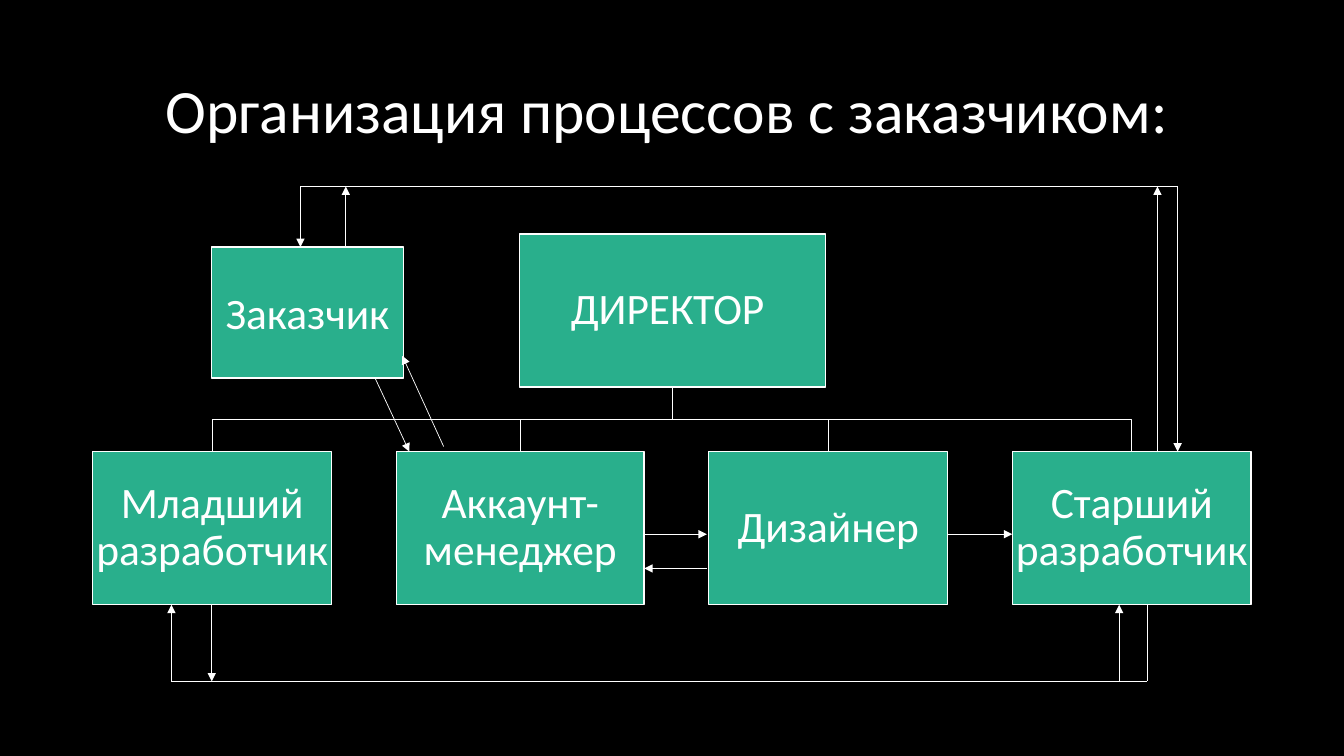
import pptx
import pptx.dml.color
import pptx.enum.shapes
import pptx.enum.text
import pptx.oxml
import pptx.oxml.ns
import pptx.util

Inches = pptx.util.Inches
COLORS = {"background": "000000", "box": "29AF8C", "light": "FFFFFF"}


def color(name):
    """Return the named palette colour."""
    return pptx.dml.color.RGBColor.from_string(COLORS[name])


class ProcessSlide:
    """Holds the style and the current slide."""

    font_name = "Calibri"
    title_size = 44
    box_size = 31

    def __init__(self, deck):
        """Add a title-only slide with a dark background."""
        self.page = deck.slides.add_slide(deck.slide_layouts[5])
        self.page.background.fill.solid()
        self.page.background.fill.fore_color.rgb = color("background")

    def set_text(self, shape, text, size, align, spacing, inset):
        """Put formatted text, centred vertically, in a shape."""
        frame = shape.text_frame
        frame.text = text
        frame.word_wrap = True
        frame.auto_size = pptx.enum.text.MSO_AUTO_SIZE.NONE
        frame.vertical_anchor = pptx.enum.text.MSO_ANCHOR.MIDDLE
        frame.margin_left = frame.margin_right = Inches(inset)
        frame.margin_top = frame.margin_bottom = Inches(min(inset, 0.05))
        for para in frame.paragraphs:
            para.alignment = align
            para.line_spacing = spacing
            for span in para.runs:
                span.font.name = self.font_name
                span.font.size = pptx.util.Pt(size)
                span.font.color.rgb = color("light")

    def outline(self, shape, width):
        """Give a shape or connector a light line."""
        shape.line.color.rgb = color("light")
        shape.line.width = pptx.util.Pt(width)

    def title(self, text, left, top, width, height):
        """Place and fill the title placeholder."""
        title = self.page.shapes.title
        title.left, title.top = Inches(left), Inches(top)
        title.width, title.height = Inches(width), Inches(height)
        self.set_text(title, text, self.title_size, pptx.enum.text.PP_ALIGN.LEFT, 0.9, 0.1)

    def box(self, text, left, top, width, height, spacing=0.9, inset=0.02):
        """Draw a labelled role box."""
        box = self.page.shapes.add_shape(
            pptx.enum.shapes.MSO_SHAPE.RECTANGLE,
            Inches(left), Inches(top), Inches(width), Inches(height))
        box.shadow.inherit = False
        box.fill.solid()
        box.fill.fore_color.rgb = color("box")
        self.outline(box, 1)
        self.set_text(box, text, self.box_size, pptx.enum.text.PP_ALIGN.CENTER, spacing, inset)

    def branch(self, points):
        """Draw an open elbow line through the points."""
        corners = [(Inches(x), Inches(y)) for x, y in points]
        builder = self.page.shapes.build_freeform(*corners[0])
        builder.add_line_segments(corners[1:], close=False)
        branch = builder.convert_to_shape()
        branch.shadow.inherit = False
        branch.fill.background()
        self.outline(branch, 1)

    def line(self, start_x, start_y, end_x, end_y, arrow=True):
        """Draw a thin straight line, with an arrowhead at its end if asked."""
        line = self.page.shapes.add_connector(
            pptx.enum.shapes.MSO_CONNECTOR.STRAIGHT,
            Inches(start_x), Inches(start_y), Inches(end_x), Inches(end_y))
        self.outline(line, 0.5)
        properties = line.element.spPr
        namespace = pptx.oxml.ns.nsdecls("a")
        if arrow:
            head = pptx.oxml.parse_xml(f'<a:tailEnd {namespace} type="triangle"/>')
            properties.find(pptx.oxml.ns.qn("a:ln")).append(head)
        properties.append(pptx.oxml.parse_xml(f"<a:effectLst {namespace}/>"))


deck = pptx.Presentation()
deck.slide_width, deck.slide_height = Inches(13.33), Inches(7.5)
slide = ProcessSlide(deck)
slide.title("Организация процессов с заказчиком:", 1.54, 0.4, 10.88, 1.45)

# Director and the team below
director_left, director_top, director_width = 5.15, 2.32, 3.04
box_height = 1.52
director_x = director_left + director_width / 2
director_bottom = director_top + box_height
team_top = 4.48
team_bottom = team_top + box_height
branch_y = (director_bottom + team_top) / 2
team = [
    ("Младший разработчик", 0.92, 2.37),
    ("Аккаунт-менеджер", 3.93, 2.46),
    ("Дизайнер", 7.03, 2.37),
    ("Старший разработчик", 10.04, 2.37),
]
for role, left, width in team:
    role_x = left + width / 2
    slide.branch([(director_x, director_bottom), (director_x, branch_y),
                  (role_x, branch_y), (role_x, team_top)])
slide.box("ДИРЕКТОР ", director_left, director_top, director_width, box_height)
for role, left, width in team:
    slide.box(role, left, team_top, width, box_height)

# Customer
customer_top, customer_height = 2.45, 1.3
customer_bottom = customer_top + customer_height
slide.box("Заказчик", 2.1, customer_top, 1.9, customer_height, spacing=1.0, inset=0.1)

# Customer and account manager
slide.line(3.72, customer_bottom, 4.06, team_top)
slide.line(4.4, 4.43, 3.99, 3.53)

# Account manager, designer and senior developer
slide.line(6.39, 5.3, 7.01, 5.3)
slide.line(7.01, 5.64, 6.39, 5.64)
slide.line(9.4, 5.3, 10.04, 5.3)

# Junior and senior developers, along the lower line
lower_y = 6.76
slide.line(1.7, lower_y, 11.38, lower_y, arrow=False)
slide.line(11.38, team_bottom, 11.38, lower_y, arrow=False)
slide.line(2.1, team_bottom, 2.1, lower_y)
for x in (1.7, 11.1):
    slide.line(x, lower_y, x, team_bottom)

# Customer and senior developer, along the upper line
upper_y = 1.85
slide.line(2.98, upper_y, 11.68, upper_y, arrow=False)
for x, bottom in ((2.98, customer_top), (11.68, team_top)):
    slide.line(x, upper_y, x, bottom)
for x, bottom in ((3.43, customer_top), (11.48, team_top)):
    slide.line(x, bottom, x, upper_y)

deck.save("out.pptx")
